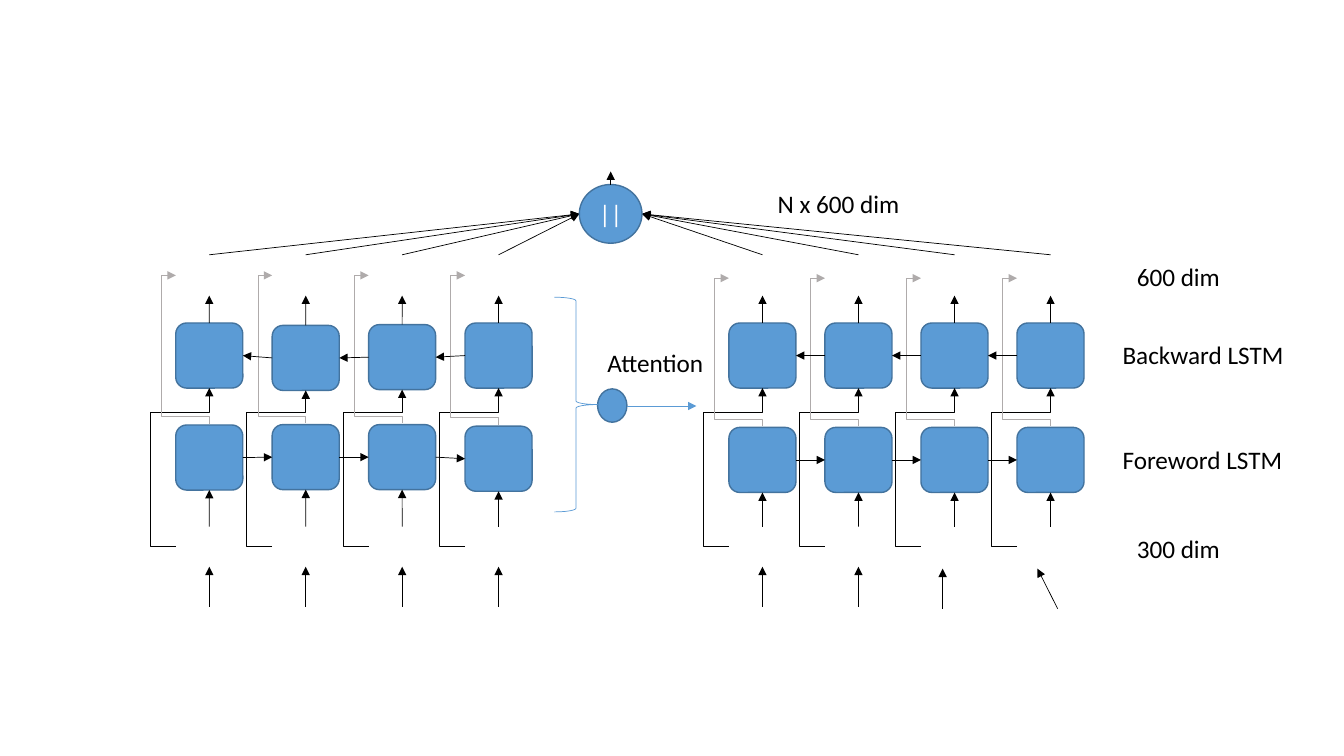
from lxml.etree import SubElement
from pptx import Presentation
from pptx.dml.color import RGBColor
from pptx.enum.shapes import MSO_CONNECTOR, MSO_SHAPE
from pptx.enum.text import MSO_ANCHOR, MSO_AUTO_SIZE, PP_ALIGN
from pptx.oxml.ns import qn
from pptx.util import Cm, Pt

COLOR = {"blue": "5B9BD5", "edge": "43739E", "black": "000000",
         "gray": "AFABAB", "white": "FFFFFF"}
WIDE, HIGH = 1.69, 1.64
TOP, LEFT, BOTTOM, RIGHT = range(4)
HUB = (14.6, 4.65, 1.58, 1.48)
GROUPS = [
    {"start": 4.43, "step": 2.43, "back": (8.14, 8.2, 8.18, 8.14),
     "fore": (10.71, 10.7, 10.7, 10.74), "skip": 6.94, "hub": HUB[0],
     "feed": [(0, 0, 0)] * 4},
    {"start": 18.37, "step": 2.42, "back": (8.14,) * 4,
     "fore": (10.77,) * 4, "skip": 7.01, "hub": HUB[0] + HUB[2],
     "feed": [(0, 0, 0), (0, 0, 0), (-0.3, -0.3, 0.05), (0.18, -0.33, 0.05)]},
]
LABELS = [
    ("600 dim", (28.4, 6.45, 3.15, 1.02), True),
    ("300 dim", (28.4, 13.31, 3.15, 1.02), True),
    ("N x 600 dim", (19.35, 4.62, 4.67, 1.02), True),
    ("Backward LSTM", (28.04, 8.43, 4.8, 1.02), True),
    ("Foreword LSTM", (28.04, 11.07, 4.8, 1.02), True),
    ("Attention", (15.06, 8.64, 2.97, 1.02), False),
]


def rgb(name):
    return RGBColor.from_string(COLOR[name])


def write(shape, text, color="black", size=18, align=PP_ALIGN.LEFT):
    para = shape.text_frame.paragraphs[0]
    para.alignment = align
    run = para.add_run()
    run.text = text
    run.font.name = "Calibri"
    run.font.size = Pt(size)
    run.font.color.rgb = rgb(color)


def label(slide, text, area, wrap):
    box = slide.shapes.add_textbox(*map(Cm, area))
    box.text_frame.word_wrap = wrap
    box.text_frame.auto_size = MSO_AUTO_SIZE.SHAPE_TO_FIT_TEXT
    write(box, text)


def node(slide, kind, area, fill="blue", edge="edge", width=1):
    shape = slide.shapes.add_shape(kind, *map(Cm, area))
    shape.shadow.inherit = False
    if fill:
        shape.fill.solid()
        shape.fill.fore_color.rgb = rgb(fill)
    else:
        shape.fill.background()
    shape.line.color.rgb = rgb(edge)
    shape.line.width = Pt(width)
    return shape


def link(slide, start, end, color="black", kind=MSO_CONNECTOR.STRAIGHT, tip="tailEnd"):
    """Draw an arrow; each end is a point or a (shape, side) pair."""
    ends = [(0, 0) if hasattr(e[0], "shape_id") else e for e in (start, end)]
    line = slide.shapes.add_connector(kind, *(Cm(v) for e in ends for v in e))
    for spot, join in ((start, line.begin_connect), (end, line.end_connect)):
        if hasattr(spot[0], "shape_id"):
            join(*spot)
    line.line.color.rgb = rgb(color)
    line.line.width = Pt(0.5)
    props = line._element.spPr
    SubElement(props.find(qn("a:ln")), qn("a:" + tip), type="triangle")
    SubElement(props, qn("a:effectLst"))
    return line


def bend(slide, start, end, turn, **style):
    """Draw an elbow that runs out to turn x, along to turn y, then to the end."""
    line = link(slide, start, end, kind=MSO_CONNECTOR.ELBOW, **style)
    geom = line._element.spPr.find(qn("a:prstGeom"))
    geom.set("prst", "bentConnector4")
    guides = geom.find(qn("a:avLst"))
    if guides is None:
        guides = SubElement(geom, qn("a:avLst"))
    for i in (0, 1):
        share = (turn[i] - start[i]) / (end[i] - start[i])
        SubElement(guides, qn("a:gd"), name=f"adj{i + 1}",
                   fmla=f"val {round(share * 100000)}")


def column(slide, x, back, fore, feed, group):
    mid = x + WIDE / 2
    upper, lower = (node(slide, MSO_SHAPE.ROUNDED_RECTANGLE, (x, y, WIDE, HIGH))
                    for y in (back, fore))
    tail, head, drop = feed
    link(slide, (mid + tail, 15.29 + drop), (mid + head, 14.28 + drop))
    link(slide, (mid, 13.27), (lower, BOTTOM))
    link(slide, (upper, TOP), (mid, 7.45))
    link(slide, (mid, 6.42), (group["hub"], HUB[1] + HUB[3] / 2))
    bend(slide, (x, 13.78), (mid, back + HIGH), (x - 0.64, 10.39))
    bend(slide, (x, group["skip"]), (mid, fore - 0.03), (x - 0.36, fore - 0.21),
         color="gray", tip="headEnd")
    return upper, lower


def network(slide, group):
    rows = zip(group["back"], group["fore"], group["feed"])
    cells = [column(slide, group["start"] + i * group["step"], *row, group)
             for i, row in enumerate(rows)]
    for (back, fore), (back2, fore2) in zip(cells, cells[1:]):
        link(slide, (fore, RIGHT), (fore2, LEFT))
        link(slide, (back2, LEFT), (back, RIGHT))


def main():
    deck = Presentation()
    deck.slide_width, deck.slide_height = Cm(33.87), Cm(19.05)
    slide = deck.slides.add_slide(deck.slide_layouts[6])
    for group in GROUPS:
        network(slide, group)
    hub = node(slide, MSO_SHAPE.OVAL, HUB)
    hub.text_frame.vertical_anchor = MSO_ANCHOR.MIDDLE
    write(hub, "||", color="white", align=PP_ALIGN.CENTER)
    link(slide, (15.39, 4.65), (15.39, 4.32))
    node(slide, MSO_SHAPE.OVAL, (15.06, 9.8, 0.74, 0.84))
    node(slide, MSO_SHAPE.RIGHT_BRACE, (13.97, 7.49, 1.09, 5.41),
         fill=None, edge="blue", width=0.5)
    link(slide, (15.8, 10.23), (17.55, 10.23), color="blue")
    for item in LABELS:
        label(slide, *item)
    deck.save("out.pptx")


if __name__ == "__main__":
    main()
